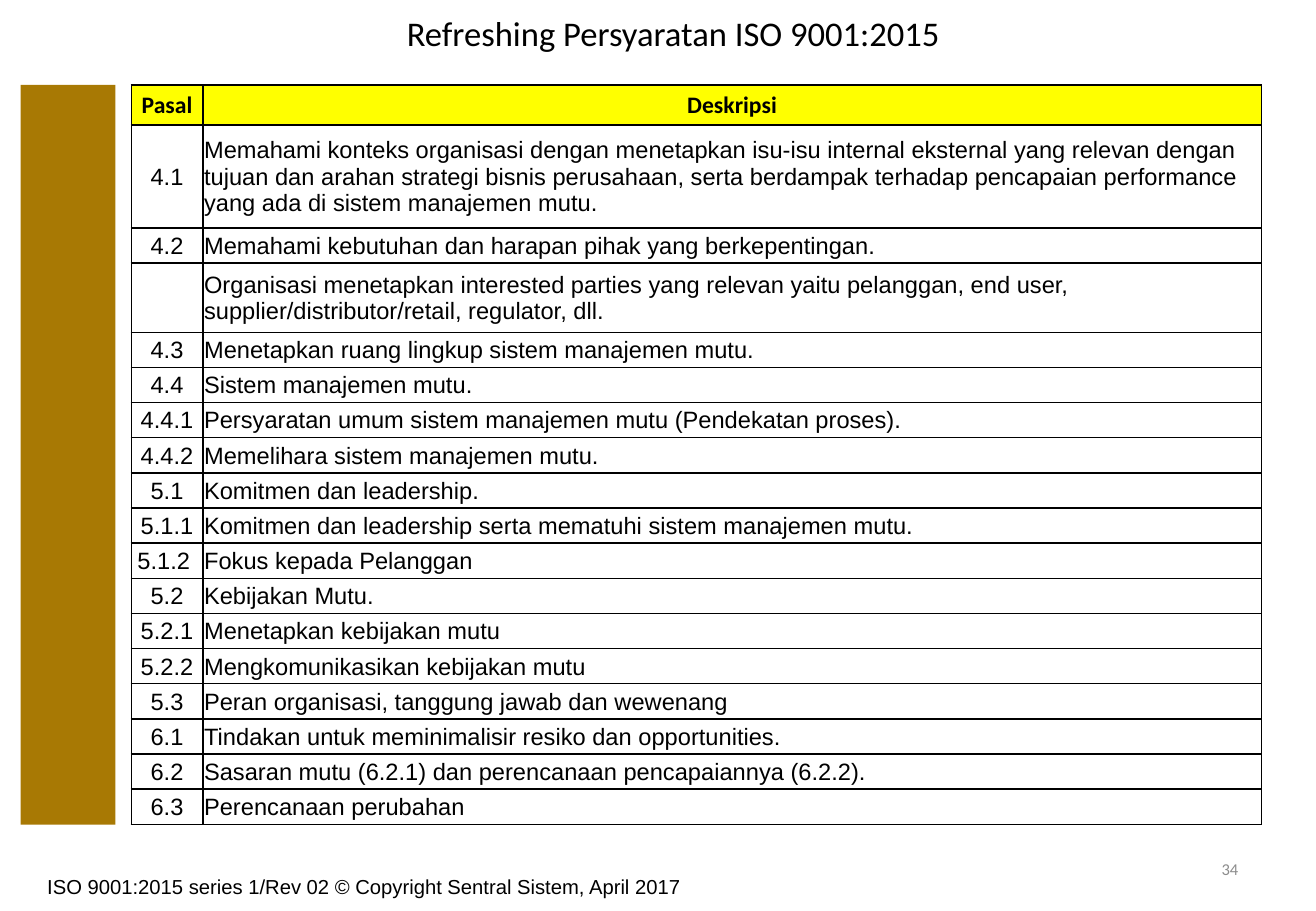
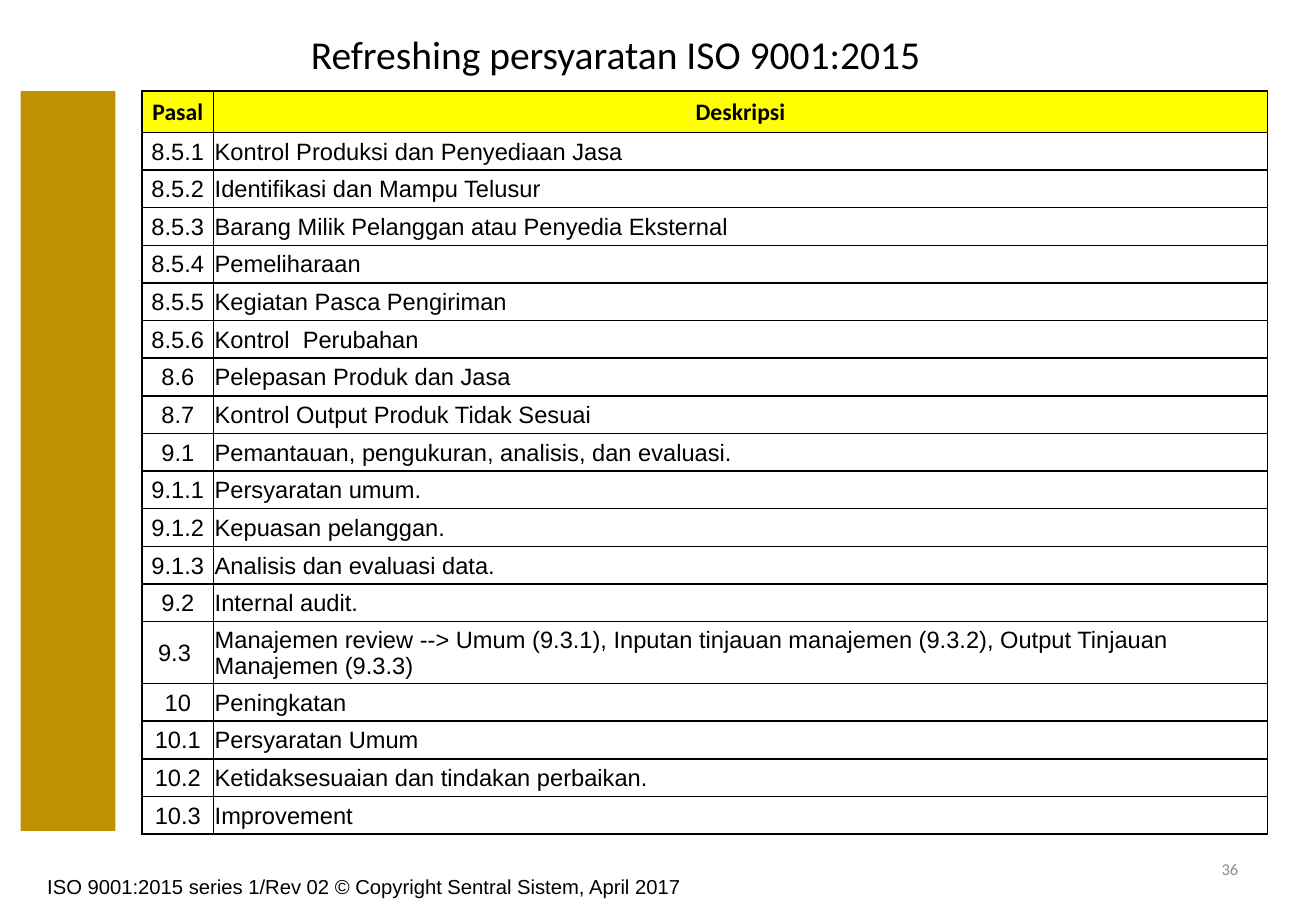
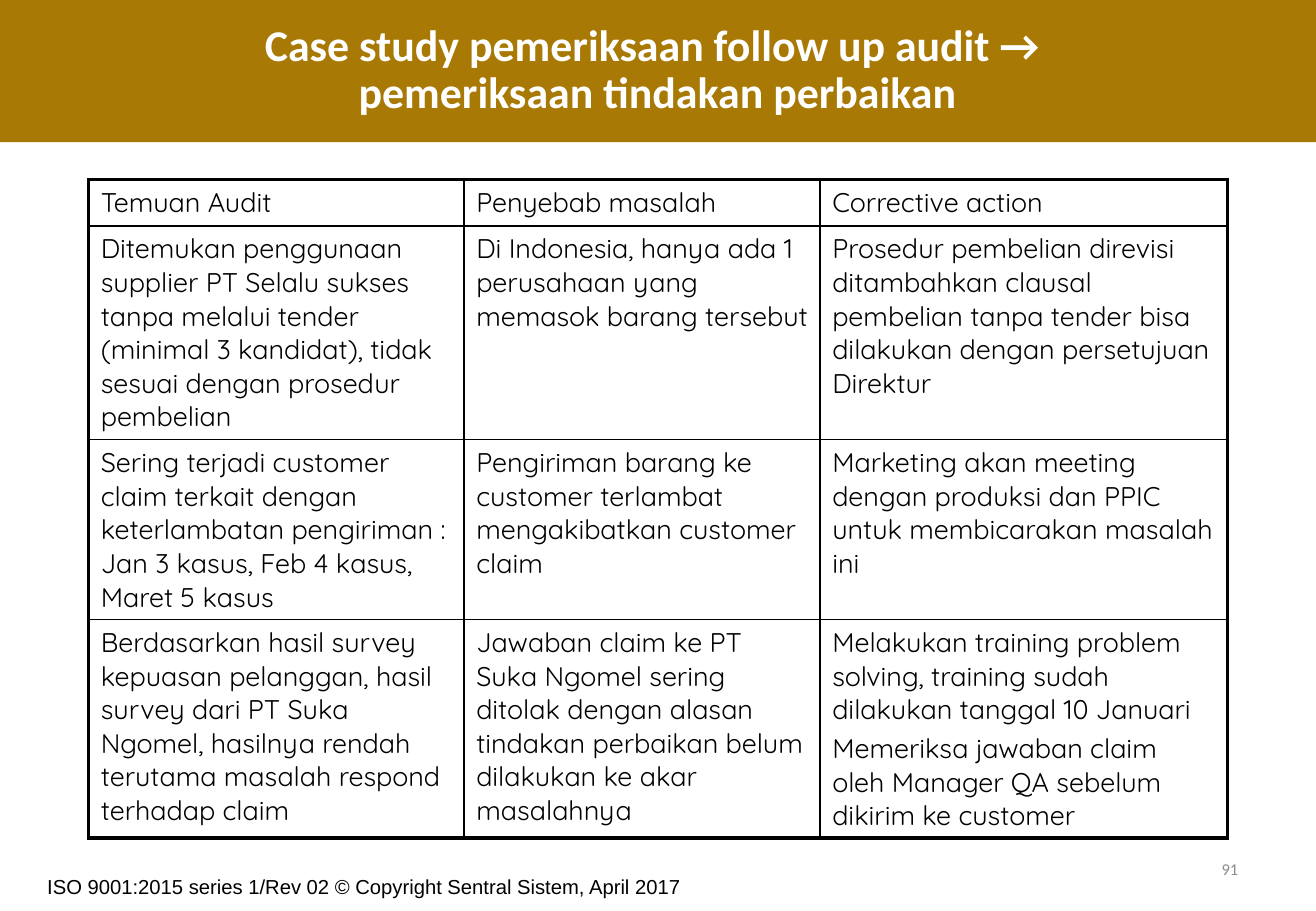
from lxml.etree import SubElement
from pptx import Presentation
from pptx.dml.color import RGBColor
from pptx.enum.shapes import MSO_SHAPE as SHAPE
from pptx.enum.text import MSO_ANCHOR as ANCHOR, PP_ALIGN as ALIGN
from pptx.oxml.ns import qn
from pptx.util import Inches, Pt

W, H = Inches(10.83), Inches(7.5)
COLORS = {"ink": "000000", "paper": "FFFFFF", "brown": "A87904",
          "gold": "BF9000", "yellow": "FFFF00", "grey": "8C8C8C"}
FOOTER = "ISO 9001:2015 series 1/Rev 02 © Copyright Sentral Sistem, April 2017"

# Boxes are left, top, width, height in percent of the slide
FOOTER_BOX = (2.68, 95.33, 55.31, 5.33)
NUMBER_BOX = (71.65, 92.67, 23.36, 5.33)
BANNER_BOX = (0, 0, 100, 15.6)
CASE_BOX = (6.74, 19.73, 86.52, 72.27)

CLAUSES_4_TO_6 = [
    ("4.1", "Memahami konteks organisasi dengan menetapkan isu-isu internal eksternal yang "
            "relevan dengan tujuan dan arahan strategi bisnis perusahaan, serta berdampak "
            "terhadap pencapaian performance yang ada di sistem manajemen mutu."),
    ("4.2", "Memahami kebutuhan dan harapan pihak yang berkepentingan."),
    ("", "Organisasi menetapkan interested parties yang relevan yaitu pelanggan, end user, "
         "supplier/distributor/retail, regulator, dll."),
    ("4.3", "Menetapkan ruang lingkup sistem manajemen mutu."),
    ("4.4", "Sistem manajemen mutu."),
    ("4.4.1", "Persyaratan umum sistem manajemen mutu (Pendekatan proses)."),
    ("4.4.2", "Memelihara sistem manajemen mutu."),
    ("5.1", "Komitmen dan leadership."),
    ("5.1.1", "Komitmen dan leadership serta mematuhi sistem manajemen mutu."),
    ("5.1.2 ", "Fokus kepada Pelanggan"),
    ("5.2", "Kebijakan Mutu."),
    ("5.2.1", "Menetapkan kebijakan mutu"),
    ("5.2.2", "Mengkomunikasikan kebijakan mutu"),
    ("5.3", "Peran organisasi, tanggung jawab dan wewenang"),
    ("6.1", "Tindakan untuk meminimalisir resiko dan opportunities."),
    ("6.2", "Sasaran mutu (6.2.1) dan perencanaan pencapaiannya (6.2.2)."),
    ("6.3", "Perencanaan perubahan"),
]
CLAUSES_8_TO_10 = [
    ("8.5.1", "Kontrol Produksi dan Penyediaan Jasa"),
    ("8.5.2", "Identifikasi dan Mampu Telusur"),
    ("8.5.3", "Barang Milik Pelanggan atau Penyedia Eksternal"),
    ("8.5.4", "Pemeliharaan"),
    ("8.5.5", "Kegiatan Pasca Pengiriman"),
    ("8.5.6", "Kontrol  Perubahan"),
    ("8.6", "Pelepasan Produk dan Jasa"),
    ("8.7", "Kontrol Output Produk Tidak Sesuai"),
    ("9.1", "Pemantauan, pengukuran, analisis, dan evaluasi."),
    ("9.1.1", "Persyaratan umum."),
    ("9.1.2", "Kepuasan pelanggan."),
    ("9.1.3", "Analisis dan evaluasi data."),
    ("9.2", "Internal audit."),
    ("9.3 ", "Manajemen review --> Umum (9.3.1), Inputan tinjauan manajemen (9.3.2), "
             "Output Tinjauan Manajemen (9.3.3)"),
    ("10", "Peningkatan"),
    ("10.1", "Persyaratan Umum"),
    ("10.2", "Ketidaksesuaian dan tindakan perbaikan."),
    ("10.3", "Improvement"),
]
CASES = [
    ("Temuan Audit", "Penyebab masalah", "Corrective action"),
    ("Ditemukan penggunaan supplier PT Selalu sukses tanpa melalui tender "
     "(minimal 3 kandidat), tidak sesuai dengan prosedur pembelian",
     "Di Indonesia, hanya ada 1 perusahaan yang memasok barang tersebut",
     "Prosedur pembelian direvisi ditambahkan clausal pembelian tanpa tender bisa "
     "dilakukan dengan persetujuan Direktur"),
    ("Sering terjadi customer claim terkait dengan keterlambatan pengiriman : "
     "Jan 3 kasus, Feb 4 kasus, Maret 5 kasus",
     "Pengiriman barang ke customer terlambat mengakibatkan customer claim",
     "Marketing akan meeting dengan produksi dan PPIC untuk membicarakan masalah ini"),
    ("Berdasarkan hasil survey kepuasan pelanggan, hasil survey dari PT Suka Ngomel, "
     "hasilnya rendah terutama masalah respond terhadap claim",
     "Jawaban claim ke PT Suka Ngomel sering ditolak dengan alasan tindakan perbaikan "
     "belum dilakukan ke akar masalahnya",
     ["Melakukan training problem solving, training sudah dilakukan tanggal 10 Januari",
      "Memeriksa jawaban claim oleh Manager QA sebelum dikirim ke customer"]),
]


def rgb(name):
    return RGBColor.from_string(COLORS[name])


def place(box):
    """Turn a box in percent into slide lengths."""
    return [int(side * share / 100) for side, share in zip((W, H, W, H), box)]


def write(tf, text, size=14, font="Arial", color="ink", bold=False,
          align=ALIGN.LEFT, line=None, gap=0):
    """Fill a text frame; a list gives one paragraph per item."""
    for i, part in enumerate(text if isinstance(text, list) else [text]):
        p = tf.add_paragraph() if i else tf.paragraphs[0]
        p.text = part
        p.alignment = align
        if line:
            p.line_spacing = line
        if i and gap:
            p.space_before = Pt(gap)
        for r in p.runs:
            r.font.size, r.font.name, r.font.bold = Pt(size), font, bold
            r.font.color.rgb = rgb(color)


def add_text(s, box, text, anchor=ANCHOR.MIDDLE, **fmt):
    tf = s.shapes.add_textbox(*place(box)).text_frame
    tf.word_wrap = True
    tf.vertical_anchor = anchor
    write(tf, text, **fmt)


def add_block(s, box, color):
    sp = s.shapes.add_shape(SHAPE.RECTANGLE, *place(box))
    sp.shadow.inherit = False
    sp.fill.solid()
    sp.fill.fore_color.rgb = rgb(color)
    sp.line.fill.background()
    return sp


def set_borders(cell, widths):
    """Draw left, right, top and bottom lines of a cell, widths in points."""
    tcPr = cell._tc.get_or_add_tcPr()
    for side, width in zip("LRTB", widths):
        ln = SubElement(tcPr, qn("a:ln" + side), w=str(int(Pt(width))))
        SubElement(SubElement(ln, qn("a:solidFill")), qn("a:srgbClr"), val=COLORS["ink"])


def add_grid(s, box, rows, col_parts, row_parts, style, outer=1):
    """Table filling a box; style(i, j) gives fill, anchor, margins and text format."""
    left, top, width, height = place(box)
    n, m = len(rows), len(col_parts)
    table = s.shapes.add_table(n, m, left, top, width, height).table
    table.first_row = table.horz_banding = False
    for col, part in zip(table.columns, col_parts):
        col.width = int(width * part / sum(col_parts))
    for row, part in zip(table.rows, row_parts):
        row.height = int(height * part / sum(row_parts))
    for i, row in enumerate(rows):
        for j, text in enumerate(row):
            cell = table.cell(i, j)
            fill, anchor, margins, fmt = style(i, j)
            edges = (j == 0, j == m - 1, i == 0, i == n - 1)
            set_borders(cell, [outer if edge else 1 for edge in edges])
            if fill:
                cell.fill.solid()
                cell.fill.fore_color.rgb = rgb(fill)
            else:
                cell.fill.background()
            cell.vertical_anchor = anchor
            (cell.margin_left, cell.margin_top,
             cell.margin_right, cell.margin_bottom) = [Inches(v) for v in margins]
            write(cell.text_frame, text, **fmt)


def clause_style(i, j):
    head = i == 0
    fmt = dict(font="Calibri" if head else "Arial", bold=head,
               align=ALIGN.CENTER if head or j == 0 else ALIGN.LEFT)
    return "yellow" if head else None, ANCHOR.MIDDLE, (0.01, 0.01, 0.01, 0), fmt


def case_style(i, j):
    return None, ANCHOR.TOP, (0.1, 0.05, 0.1, 0.05), dict(size=16, font="Quicksand", gap=3.2)


def new_slide(prs, number):
    """Blank slide with the shared footer and page number."""
    s = prs.slides.add_slide(prs.slide_layouts[6])
    add_text(s, FOOTER_BOX, FOOTER, anchor=ANCHOR.TOP, size=12)
    add_text(s, NUMBER_BOX, str(number), size=9.8, font="Calibri", color="grey",
             align=ALIGN.RIGHT)
    return s


def clause_slide(prs, number, title, title_box, title_size, bar_color, table_box,
                 clauses, head_part, row_part, tall_parts):
    s = new_slide(prs, number)
    add_text(s, title_box, title, size=title_size, font="Calibri", line=0.9)
    # Side bar starts level with the table
    add_block(s, (1.57, table_box[1], 7.2, 81.2), bar_color)
    parts = [head_part] + [tall_parts.get(code, row_part) for code, _ in clauses]
    add_grid(s, table_box, [("Pasal", "Deskripsi")] + clauses, (0.59, 8.71), parts,
             clause_style)


def case_slide(prs, number, title):
    s = new_slide(prs, number)
    tf = add_block(s, BANNER_BOX, "brown").text_frame
    tf.vertical_anchor = ANCHOR.MIDDLE
    write(tf, title, size=26, font="Calibri", color="paper", bold=True,
          align=ALIGN.CENTER, line=0.9)
    add_grid(s, CASE_BOX, CASES, (3.09, 2.93, 3.35), (0.38, 1.76, 1.48, 1.8),
             case_style, outer=2.25)


def main():
    prs = Presentation()
    prs.slide_width, prs.slide_height = W, H
    clause_slide(prs, 34, "Refreshing Persyaratan ISO 9001:2015",
                 (30.01, 1.07, 48.29, 5.6), 20.5, "brown", (9.97, 9.33, 85.87, 81.2),
                 CLAUSES_4_TO_6, 0.33, 0.29, {"4.1": 0.85, "": 0.57})
    clause_slide(prs, 36, "Refreshing persyaratan ISO 9001:2015",
                 (22.71, 3.33, 54.02, 5.87), 23.4, "gold", (10.8, 10, 85.5, 81.6),
                 CLAUSES_8_TO_10, 0.34, 0.31, {"9.3 ": 0.51})
    case_slide(prs, 91, "Case study pemeriksaan follow up audit → \n"
                        "pemeriksaan tindakan perbaikan")
    prs.save("out.pptx")


if __name__ == "__main__":
    main()
